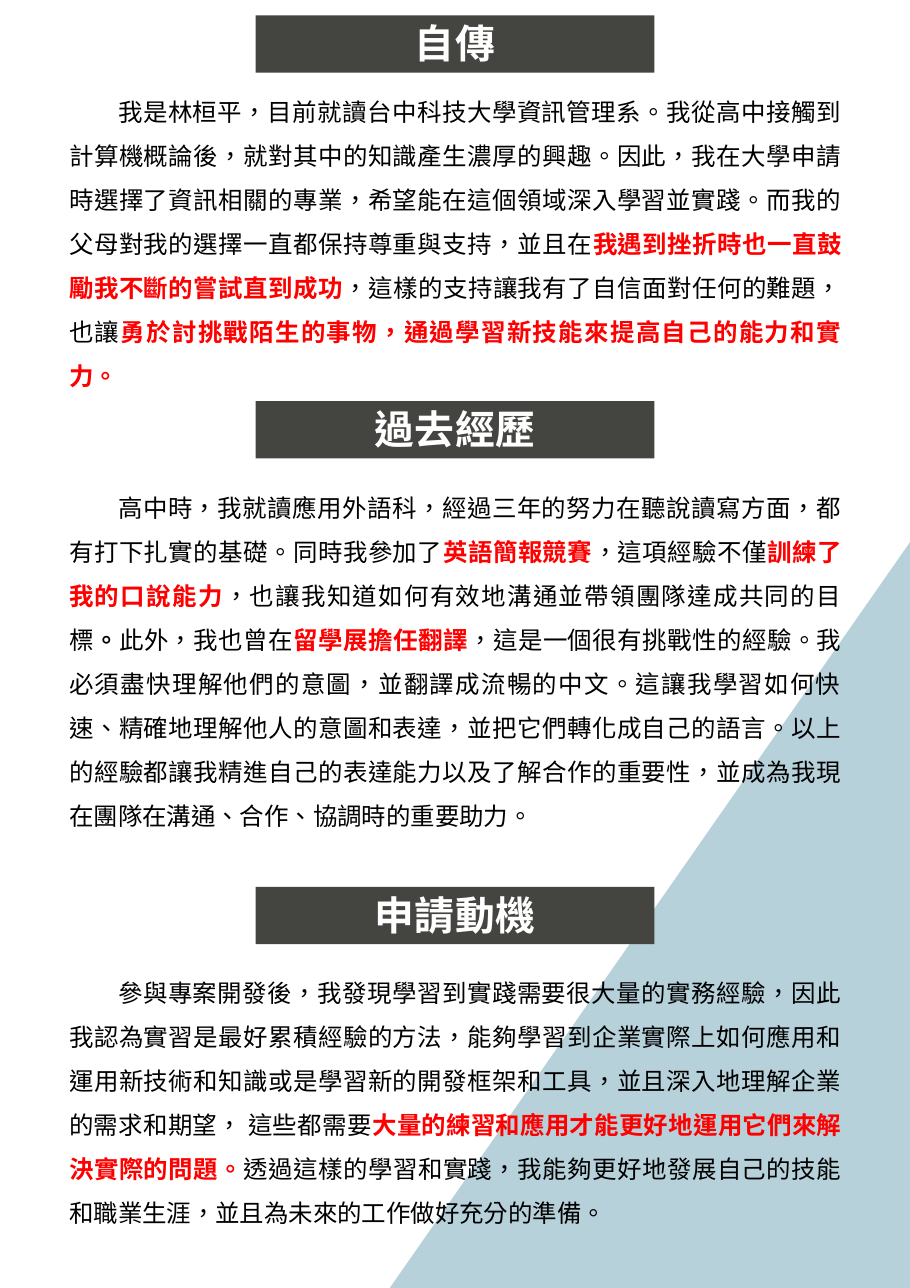
from pptx import Presentation
from pptx.dml.color import RGBColor
from pptx.enum.lang import MSO_LANGUAGE_ID
from pptx.enum.shapes import MSO_SHAPE
from pptx.enum.text import PP_ALIGN
from pptx.util import Inches, Pt

FONT = "Times New Roman"
BLACK = RGBColor(0x00, 0x00, 0x00)
WHITE = RGBColor(0xFF, 0xFF, 0xFF)
RED = RGBColor(0xFF, 0x00, 0x00)
CHARCOAL = RGBColor(0x44, 0x44, 0x40)
PALE_BLUE = RGBColor(0xB7, 0xD1, 0xDA)

PLAIN = {"color": BLACK}
BOLD = {"color": BLACK, "bold": True}
KEY = {"color": RED, "bold": True}

BODY_SIZE = 16
BODY_LINE = 28.75  # points taken by one body line

# Heading and the top of its banner
HEADINGS = [("自傳", 0.14), ("過去經歷", 3.64), ("申請動機", 8.05)]

# Body lines left free above each section, and its text
SECTIONS = [
    (0, [
        ("我是林桓平，目前就讀台中科技大學資訊管理系。我從高中接觸到計算機概論後，"
         "就對其中的知識產生濃厚的興趣。因此，我在大學申請時選擇了資訊相關的專業，"
         "希望能在這個領域深入學習並實踐。而我的父母對我的選擇一直都保持尊重與支持，並且在", PLAIN),
        ("我遇到挫折時也一直鼓勵我不斷的嘗試直到成功", KEY),
        ("，這樣的支持讓我有了自信面對任何的難題，也讓", PLAIN),
        ("勇於討挑戰陌生的事物，通過學習新技能來提高自己的能力和實力。", KEY),
    ]),
    (2, [
        ("高中時，我就讀應用外語科，經過三年的努力在聽說讀寫方面，"
         "都有打下扎實的基礎。同時我參加了", PLAIN),
        ("英語簡報競賽", KEY),
        ("，這項經驗不僅", PLAIN),
        ("訓練了我的口說能力", KEY),
        ("，也讓我知道如何有效地溝通並帶領團隊達成共同的目標", PLAIN),
        ("。", BOLD),
        ("此外，我也曾在", PLAIN),
        ("留學展擔任翻譯", KEY),
        ("，這是一個很有挑戰性的經驗。我必須盡快理解他們的意圖，並翻譯成流暢的中文。"
         "這讓我學習如何快速、精確地理解他人的意圖和表達，並把它們轉化成自己的語言。"
         "以上的經驗都讓我精進自己的表達能力以及了解合作的重要性，"
         "並成為我現在團隊在溝通、合作、協調時的重要助力。", PLAIN),
    ]),
    (3, [
        ("參與專案開發後，我發現學習到實踐需要很大量的實務經驗，"
         "因此我認為實習是最好累積經驗的方法，能夠學習到企業實際上如何應用和運用新技術和知識"
         "或是學習新的開發框架和工具，並且深入地理解企業的需求和期望， 這些都需要", PLAIN),
        ("大量的練習和應用才能更好地運用它們來解決實際的問題。", KEY),
        ("透過這樣的學習和實踐，我能夠更好地發展自己的技能和職業生涯，"
         "並且為未來的工作做好充分的準備。", PLAIN),
    ]),
]


def add_rectangle(page, left, top, width, height, color, rotation=0):
    box = page.shapes.add_shape(MSO_SHAPE.RECTANGLE, Inches(left), Inches(top),
                                Inches(width), Inches(height))
    box.rotation = rotation
    box.shadow.inherit = False
    box.fill.solid()
    box.fill.fore_color.rgb = color
    box.line.fill.background()


def add_text_frame(page, left, top, width, height):
    box = page.shapes.add_textbox(Inches(left), Inches(top), Inches(width), Inches(height))
    box.text_frame.word_wrap = True
    return box.text_frame


def add_span(para, text, size, color, bold=False, spacing=None):
    """Add a run; spacing is the tracking in points."""
    span = para.add_run()
    span.text = text
    font = span.font
    font.name = FONT
    font.size = Pt(size)
    font.bold = bold
    font.color.rgb = color
    font.language_id = MSO_LANGUAGE_ID.TRADITIONAL_CHINESE
    if spacing:
        span._r.get_or_add_rPr().set("spc", str(round(spacing * 100)))


def add_body(page):
    frame = add_text_frame(page, 0.53, 0.7, 7.21, 10.96)
    for index, (free_lines, spans) in enumerate(SECTIONS):
        para = frame.add_paragraph() if index else frame.paragraphs[0]
        para.alignment = PP_ALIGN.JUSTIFY
        para.line_spacing = 1.5
        para.space_before = Pt(free_lines * BODY_LINE)
        properties = para._p.get_or_add_pPr()
        properties.set("indent", str(Pt(2 * BODY_SIZE)))
        properties.set("hangingPunct", "0")
        for text, style in spans:
            add_span(para, text, BODY_SIZE, **style)


def add_heading(page, text, top):
    add_rectangle(page, 2.32, top, 3.62, 0.52, CHARCOAL)
    frame = add_text_frame(page, 3.22, top + 0.23, 1.82, 0.27)
    frame.margin_left = frame.margin_right = 0
    frame.margin_top = frame.margin_bottom = 0
    para = frame.paragraphs[0]
    para.alignment = PP_ALIGN.CENTER
    para.line_spacing = Pt(16.8)
    add_span(para, text, 26, WHITE, bold=True, spacing=0.5)


def main():
    deck = Presentation()
    deck.slide_width = Inches(8.26)
    deck.slide_height = Inches(11.69)
    page = deck.slides.add_slide(deck.slide_layouts[6])
    add_rectangle(page, 5.74, 4.68, 4.69, 9.18, PALE_BLUE, rotation=34.9)
    add_body(page)
    for text, top in HEADINGS:
        add_heading(page, text, top)
    deck.save("out.pptx")


if __name__ == "__main__":
    main()
